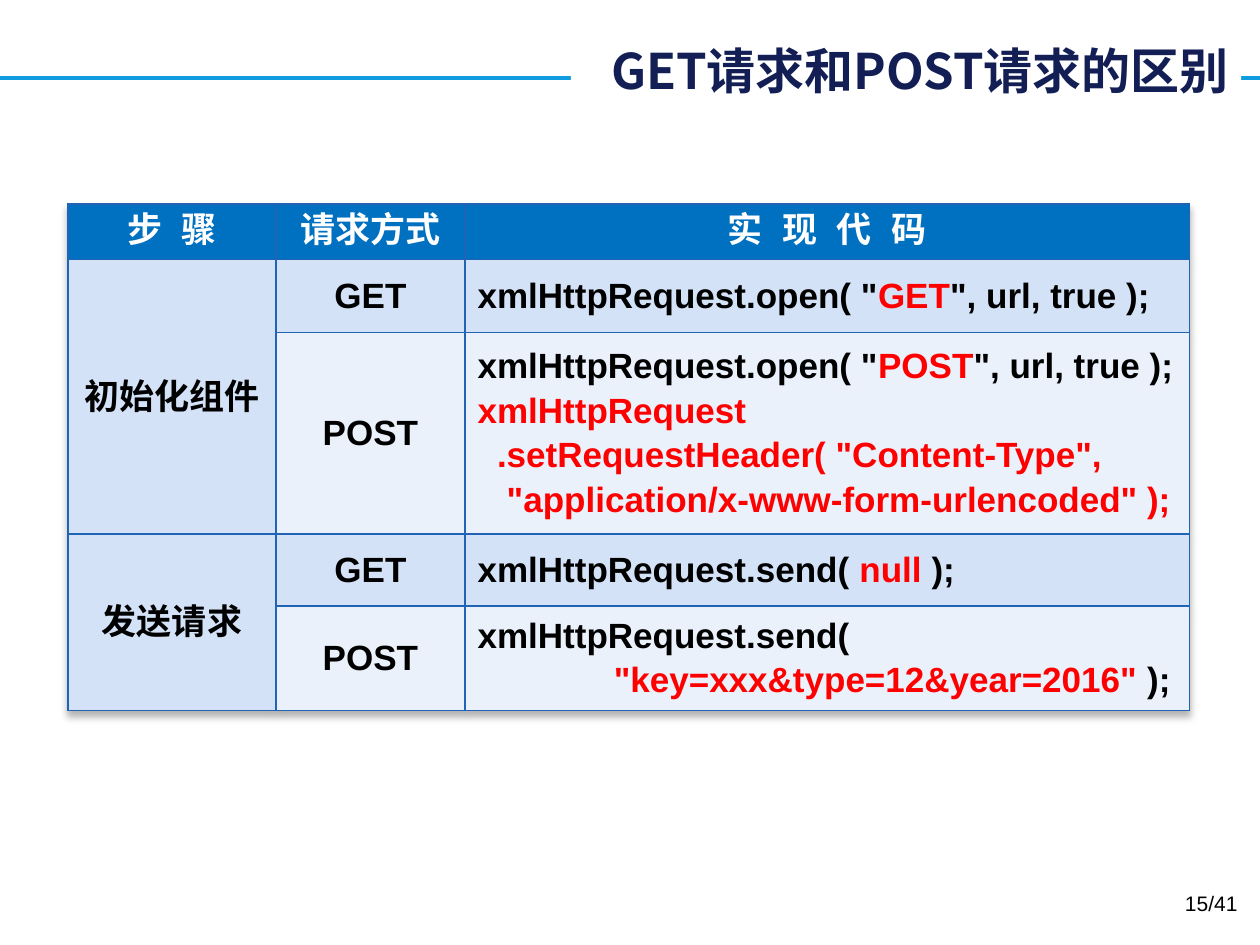
import pptx
import pptx.util
import pptx.dml.color
import pptx.enum.shapes
import pptx.enum.text
import pptx.oxml
import pptx.oxml.ns

Inches, Pt = pptx.util.Inches, pptx.util.Pt
qn = pptx.oxml.ns.qn
ALIGN = pptx.enum.text.PP_ALIGN
ANCHOR = pptx.enum.text.MSO_ANCHOR

COLORS = {
    "white": "FFFFFF", "black": "000000", "red": "FF0000", "navy": "121E54",
    "sky": "0E9CDE", "head": "0070C0", "mid": "D3E2F7", "pale": "EAF1FB",
    "edge": "2163B4",
}
SANS, HAN = "Arial", "Noto Sans CJK SC"
NS = 'xmlns:a="http://schemas.openxmlformats.org/drawingml/2006/main"'
COLS = [1.65, 1.5, 5.75]
ROWS = [0.44, 0.58, 1.6, 0.57, 0.83]
HEADS = ["步 骤", "请求方式", "实 现 代 码"]
STEPS = {1: "初始化组件", 3: "发送请求"}

# Each code line: indent in spaces, then (text, colour) runs
CODE = [
    [(0, [('xmlHttpRequest.open( "', "black"), ("GET", "red"),
          ('", url, true );', "black")])],
    [(0, [('xmlHttpRequest.open( "', "black"), ("POST", "red"),
          ('", url, true );', "black")]),
     (0, [("xmlHttpRequest", "red")]),
     (2, [('.setRequestHeader( "Content-Type",', "red")]),
     (3, [('"application/x-www-form-urlencoded" );', "red")])],
    [(0, [("xmlHttpRequest.send( ", "black"), ("null", "red"),
          (" );", "black")])],
    [(0, [("xmlHttpRequest.send(", "black")]),
     (14, [('"key=xxx&type=12&year=2016"', "red"), (" );", "black")])],
]


def rgb(name):
    return pptx.dml.color.RGBColor.from_string(COLORS[name])


def paint(shape, name):
    shape.fill.solid()
    shape.fill.fore_color.rgb = rgb(name)


def add_run(para, text, color, size=20, bold=True, face=SANS):
    run = para.add_run()
    run.text = text
    font = run.font
    font.size, font.bold, font.name = Pt(size), bold, face
    font.color.rgb = rgb(color)
    asian = pptx.oxml.parse_xml(f'<a:ea {NS} typeface="{face}"/>')
    font._element.find(qn("a:latin")).addnext(asian)
    return run


def add_rule(slide, title, width, top):
    """Draw the line that runs behind the title."""
    kind = pptx.enum.shapes.MSO_CONNECTOR.STRAIGHT
    line = slide.shapes.add_connector(kind, 0, top, width, top)
    line.line.color.rgb = rgb("sky")
    line.line.width = Pt(2.25)
    line.element.spPr.append(pptx.oxml.parse_xml(f"<a:effectLst {NS}/>"))
    title.element.addprevious(line.element)


def set_title(title, text):
    title.left, title.top = Inches(4.53), Inches(0.31)
    title.width, title.height = Inches(5.32), Inches(0.57)
    paint(title, "white")
    frame = title.text_frame
    frame.word_wrap = True
    frame.auto_size = pptx.enum.text.MSO_AUTO_SIZE.SHAPE_TO_FIT_TEXT
    frame.vertical_anchor = ANCHOR.MIDDLE
    para = frame.paragraphs[0]
    para.alignment = ALIGN.RIGHT
    para.line_spacing = 0.83
    add_run(para, text, "navy", 28, face=HAN)


def add_edges(cell):
    props = cell._tc.get_or_add_tcPr()
    for spot, side in enumerate("LRTB"):
        props.insert(spot, pptx.oxml.parse_xml(
            f'<a:ln{side} {NS} w="12700"><a:solidFill>'
            f'<a:srgbClr val="{COLORS["edge"]}"/></a:solidFill></a:ln{side}>'))


def add_shade(table):
    """Give the table a soft shadow below."""
    table._tbl.tblPr.insert(0, pptx.oxml.parse_xml(
        f'<a:effectLst {NS}><a:outerShdw blurRad="50800" dist="38100" '
        'dir="5400000" algn="t" rotWithShape="0"><a:srgbClr val="000000">'
        '<a:alpha val="30000"/></a:srgbClr></a:outerShdw></a:effectLst>'))


def fill_label(cell, text, color="black"):
    para = cell.text_frame.paragraphs[0]
    para.alignment = ALIGN.CENTER
    para.space_before = Pt(3.3)
    return add_run(para, text, color)


def fill_code(cell, lines):
    frame = cell.text_frame
    for num, (indent, runs) in enumerate(lines):
        para = frame.add_paragraph() if num else frame.paragraphs[0]
        para.space_before = Pt(3.3)
        if indent:
            props = para._p.get_or_add_pPr()
            props.set("marL", str(Pt(5.56 * indent)))
            props.set("indent", "0")
        for text, color in runs:
            add_run(para, text, color)


def add_grid(slide):
    frame = slide.shapes.add_table(
        len(ROWS), len(COLS), Inches(0.54), Inches(1.62),
        Inches(sum(COLS)), Inches(sum(ROWS)))
    table = frame.table
    for col, width in zip(table.columns, COLS):
        col.width = Inches(width)
    for row, height in zip(table.rows, ROWS):
        row.height = Inches(height)
    for num in range(len(ROWS)):
        for spot in range(len(COLS)):
            cell = table.cell(num, spot)
            shade = "mid" if num % 2 or spot == 0 else "pale"
            paint(cell, shade if num else "head")
            add_edges(cell)
            if num:
                cell.vertical_anchor = ANCHOR.MIDDLE
    for spot, text in enumerate(HEADS):
        cell = table.cell(0, spot)
        cell.margin_bottom = 0
        run = fill_label(cell, text, "white")
        if " " in text:
            run.font._element.set("spc", "280")
    for num, text in STEPS.items():
        table.cell(num, 0).merge(table.cell(num + 1, 0))
        fill_label(table.cell(num, 0), text)
    for num, lines in enumerate(CODE, 1):
        fill_label(table.cell(num, 1), "GET" if num % 2 else "POST")
        fill_code(table.cell(num, 2), lines)
    add_shade(table)


def add_page(slide, text):
    box = slide.shapes.add_textbox(
        Inches(7.59), Inches(7.02), Inches(2.33), Inches(0.4))
    box.text_frame.word_wrap = True
    para = box.text_frame.paragraphs[0]
    para.alignment = ALIGN.RIGHT
    add_run(para, text, "black", 12, bold=False)


def main():
    deck = pptx.Presentation()
    deck.slide_width, deck.slide_height = Inches(10), Inches(7.5)
    slide = deck.slides.add_slide(deck.slide_layouts[5])
    title = slide.shapes.title
    set_title(title, "GET请求和POST请求的区别")
    add_rule(slide, title, deck.slide_width, Inches(0.62))
    add_grid(slide)
    add_page(slide, "15/41")
    deck.save("out.pptx")


if __name__ == "__main__":
    main()
